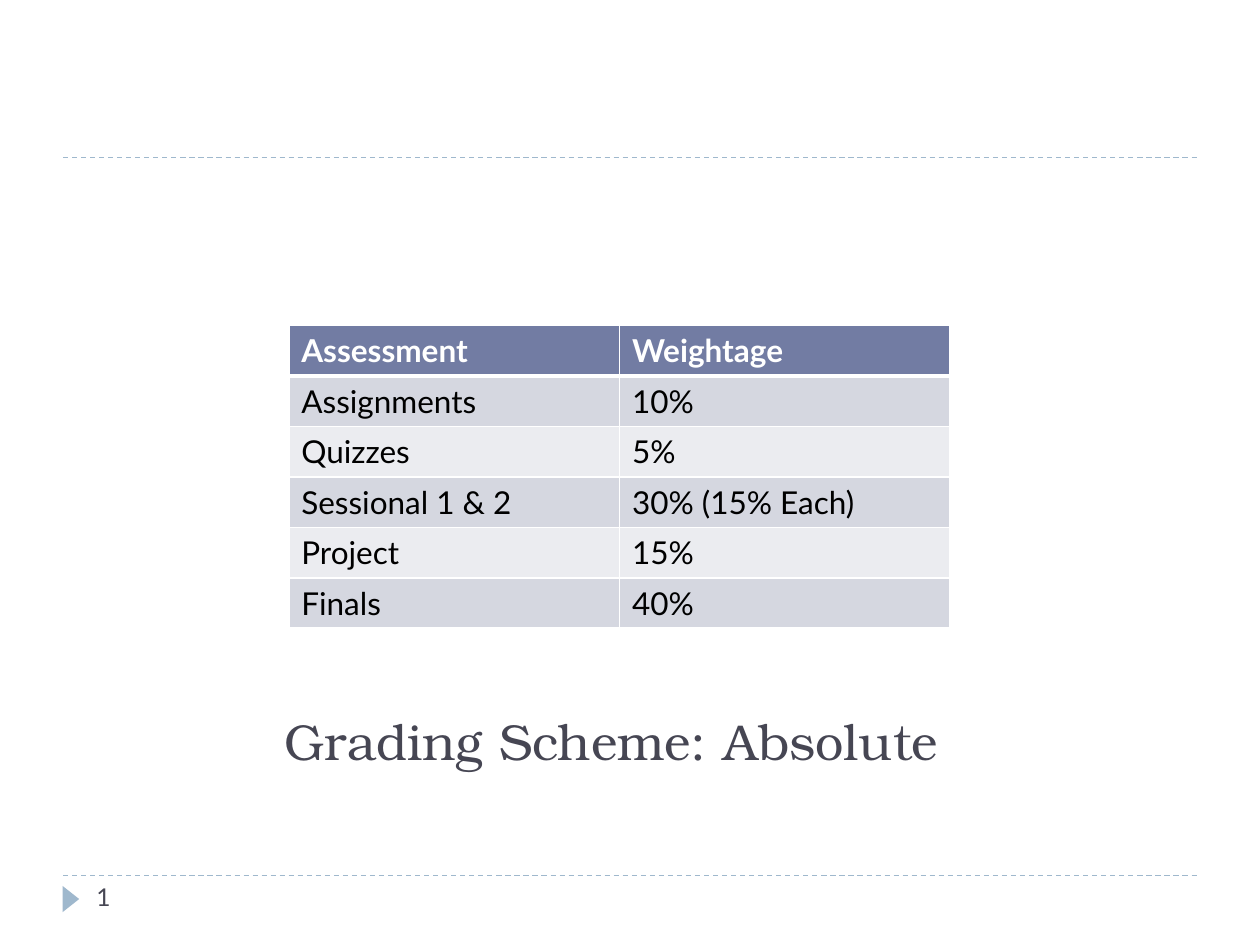
from lxml import etree
from pptx import Presentation
from pptx.dml.color import RGBColor
from pptx.enum import dml, shapes, text
from pptx.oxml import ns
from pptx.util import Pt

WHITE = RGBColor(0xFF, 0xFF, 0xFF)
BLACK = RGBColor(0x00, 0x00, 0x00)
SLATE = RGBColor(0x46, 0x46, 0x53)
SKY = RGBColor(0x9F, 0xB8, 0xCD)
HEADER = RGBColor(0x72, 0x7C, 0xA3)
BANDS = [RGBColor(0xD5, 0xD7, 0xE0), RGBColor(0xEB, 0xEC, 0xF0)]

GRADING = [
    ("Assessment", "Weightage"),
    ("Assignments", "10%"),
    ("Quizzes", "5%"),
    ("Sessional 1 & 2", "30% (15% Each)"),
    ("Project", "15%"),
    ("Finals", "40%"),
]


def write(frame, words, size=18, font="Lato", color=BLACK, bold=False,
          align=text.PP_ALIGN.LEFT, anchor=text.MSO_ANCHOR.TOP):
    frame.word_wrap = True
    frame.vertical_anchor = anchor
    paragraph = frame.paragraphs[0]
    paragraph.alignment = align
    run = paragraph.add_run()
    run.text = words
    run.font.size = Pt(size)
    run.font.name = font
    run.font.bold = bold
    run.font.color.rgb = color


def set_borders(cell, color, **widths):
    """Draw cell borders; widths are points keyed by side, in L, R, T, B order."""
    properties = cell._tc.get_or_add_tcPr()
    for position, (side, width) in enumerate(widths.items()):
        line = etree.Element(ns.qn(f"a:ln{side}"), w=str(Pt(width)))
        fill = etree.SubElement(line, ns.qn("a:solidFill"))
        etree.SubElement(fill, ns.qn("a:srgbClr"), val=str(color))
        properties.insert(position, line)


class SlideBuilder:
    def __init__(self, slide):
        self.shapes = slide.shapes

    def rule(self, y, left=36, right=684):
        line = self.shapes.add_connector(
            shapes.MSO_CONNECTOR.STRAIGHT, Pt(left), Pt(y), Pt(right), Pt(y))
        line.line.color.rgb = SKY
        line.line.width = Pt(0.75)
        line.line.dash_style = dml.MSO_LINE.DASH
        etree.SubElement(line._element.spPr, ns.qn("a:effectLst"))

    def marker(self, left, top, width, height):
        triangle = self.shapes.add_shape(
            shapes.MSO_SHAPE.ISOSCELES_TRIANGLE,
            Pt(left), Pt(top), Pt(width), Pt(height))
        triangle.rotation = 90
        triangle.shadow.inherit = False
        triangle.fill.solid()
        triangle.fill.fore_color.rgb = SKY
        triangle.line.fill.background()

    def label(self, words, left, top, width, height, **style):
        box = self.shapes.add_textbox(Pt(left), Pt(top), Pt(width), Pt(height))
        write(box.text_frame, words, **style)

    def table(self, rows, left, top, width, row_height):
        grid = self.shapes.add_table(
            len(rows), len(rows[0]), Pt(left), Pt(top),
            Pt(width), Pt(row_height * len(rows))).table
        for r, row in enumerate(rows):
            is_header = r == 0
            for c, words in enumerate(row):
                cell = grid.cell(r, c)
                cell.fill.solid()
                cell.fill.fore_color.rgb = HEADER if is_header else BANDS[(r - 1) % 2]
                write(cell.text_frame, words, bold=is_header,
                      color=WHITE if is_header else BLACK)
                set_borders(cell, WHITE, L=1, R=1,
                            T=3 if r == 1 else 1, B=3 if is_header else 1)


def main():
    deck = Presentation()
    deck.slide_width, deck.slide_height = Pt(720), Pt(540)
    page = SlideBuilder(deck.slides.add_slide(deck.slide_layouts[6]))

    # Page frame
    page.rule(500.4)
    page.rule(90)
    page.marker(33, 509, 15, 9.5)

    # Title and page number
    page.label("Grading Scheme: Absolute ", 150, 402, 408, 42, size=28.8,
               font="TeX Gyre Bonum", color=SLATE,
               align=text.PP_ALIGN.CENTER, anchor=text.MSO_ANCHOR.BOTTOM)
    page.label("1", 48, 500.4, 156, 28.8, size=14, color=SLATE)

    # Grading table
    page.table(GRADING, left=165, top=186, width=378, row_height=28.8)

    deck.save("out.pptx")


if __name__ == "__main__":
    main()
